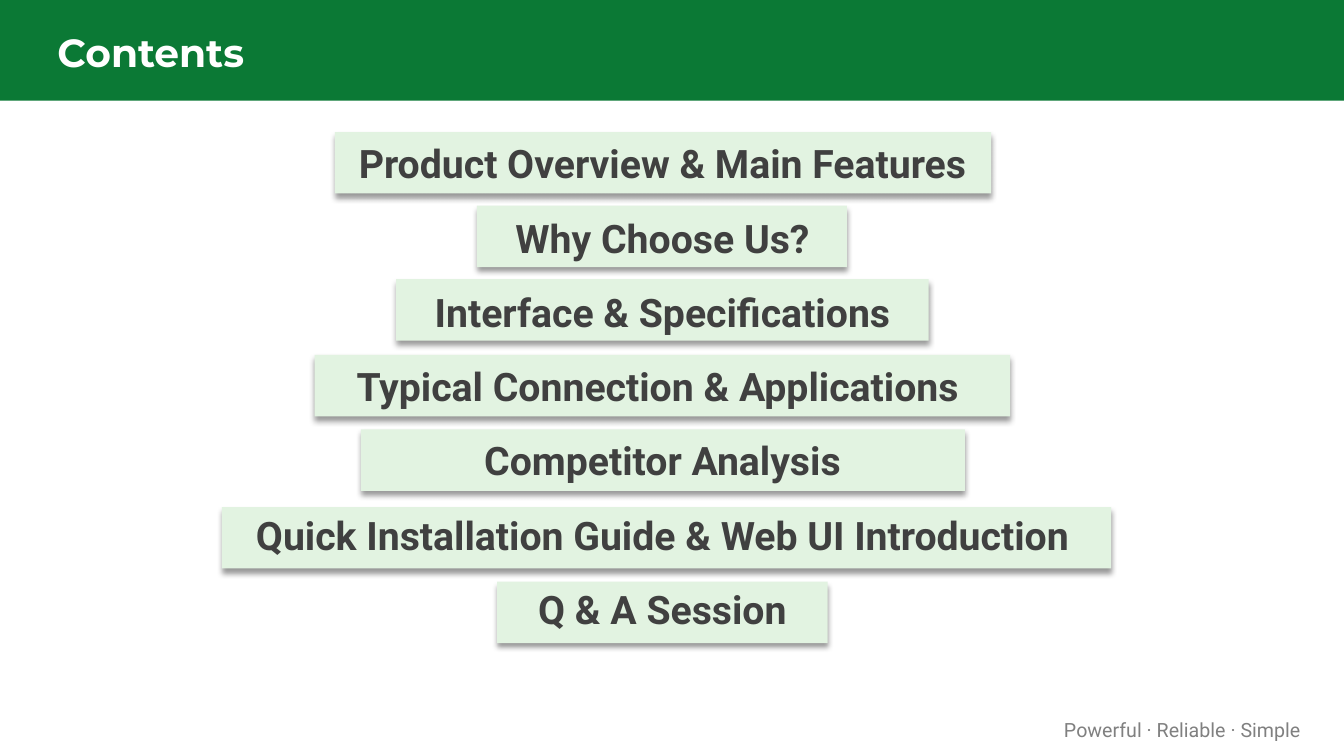
from lxml import etree
from pptx import Presentation
from pptx.dml.color import RGBColor
from pptx.enum import shapes, text
from pptx.oxml import ns
from pptx.util import Inches, Pt

GREEN = RGBColor(0x0B, 0x79, 0x35)
MINT = RGBColor(0xE2, 0xF3, 0xE1)
WHITE = RGBColor(0xFF, 0xFF, 0xFF)
DARK = RGBColor(0x40, 0x40, 0x40)
GRAY = RGBColor(0x80, 0x80, 0x80)

TOPICS = [
    ("Product Overview & Main Features", 3.32, 1.31, 6.51),
    ("Why Choose Us?", 4.73, 2.04, 3.67),
    ("Interface & Specifications", 3.93, 2.77, 5.28),
    ("Typical Connection & Applications ", 3.12, 3.52, 6.9),
    ("Competitor Analysis", 3.58, 4.26, 5.99),
    ("Quick Installation Guide & Web UI Introduction", 2.2, 5.03, 8.82),
    ("Q & A Session", 4.93, 5.77, 3.28),
]


class Deck:
    head = "Montserrat"
    body = "Roboto"

    def __init__(self):
        self.show = Presentation()
        self.show.slide_width = Inches(13.33)
        self.show.slide_height = Inches(7.5)
        self.slide = self.show.slides.add_slide(self.show.slide_layouts[6])

    def bar(self, box, fill, shadow=False):
        bar = self.slide.shapes.add_shape(
            shapes.MSO_SHAPE.RECTANGLE, *map(Inches, box))
        bar.shadow.inherit = False
        bar.fill.solid()
        bar.fill.fore_color.rgb = fill
        bar.line.fill.background()
        if shadow:
            self.shade(bar)

    def shade(self, bar):
        effects = bar.element.spPr.find(ns.qn("a:effectLst"))
        outer = etree.SubElement(
            effects, ns.qn("a:outerShdw"), blurRad=str(Pt(4)),
            dist=str(Pt(3)), dir="5400000", algn="t", rotWithShape="0")
        color = etree.SubElement(outer, ns.qn("a:srgbClr"), val="000000")
        etree.SubElement(color, ns.qn("a:alpha"), val="40000")

    def text(self, box, lines, font, size, color, bold=False,
             align=text.PP_ALIGN.LEFT, pitch=None, after=None):
        frame = self.slide.shapes.add_textbox(*map(Inches, box)).text_frame
        frame.word_wrap = True
        frame.vertical_anchor = text.MSO_ANCHOR.MIDDLE
        frame.margin_left = frame.margin_right = Inches(0.07)
        frame.margin_top = frame.margin_bottom = Inches(0.03)
        for i, line in enumerate(lines):
            para = frame.add_paragraph() if i else frame.paragraphs[0]
            para.alignment = align
            para.line_spacing = pitch
            para.space_after = after
            run = para.add_run()
            run.text = line
            run.font.name = font
            run.font.size = Pt(size)
            run.font.bold = bold
            run.font.color.rgb = color

    def save(self):
        self.show.save("out.pptx")


def main():
    deck = Deck()
    deck.bar((0, 0, 13.33, 1), GREEN)
    deck.text((0.5, 0.18, 12.33, 0.67), ["Contents"],
              deck.head, 28, WHITE, bold=True)
    deck.text((10.19, 7.07, 2.78, 0.34), ["Powerful · Reliable · Simple"],
              deck.body, 14, GRAY, align=text.PP_ALIGN.RIGHT)
    for _, left, top, width in TOPICS:
        deck.bar((left, top, width, 0.61), MINT, shadow=True)
    deck.text((1.72, 1.45, 9.7, 4.6), [topic[0] for topic in TOPICS],
              deck.body, 28, DARK, bold=True, align=text.PP_ALIGN.CENTER,
              pitch=Pt(45), after=Pt(8))
    deck.save()


if __name__ == "__main__":
    main()
